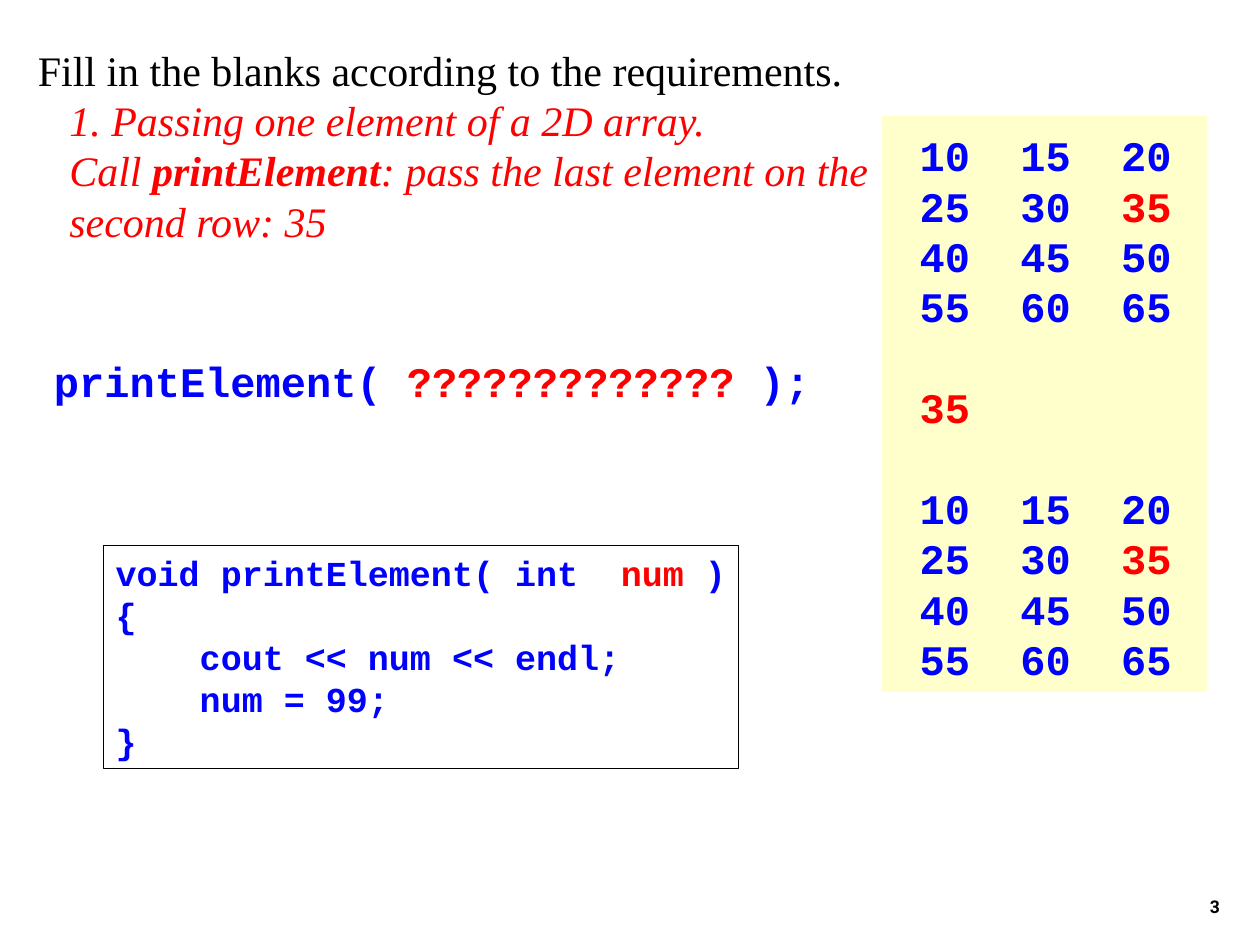
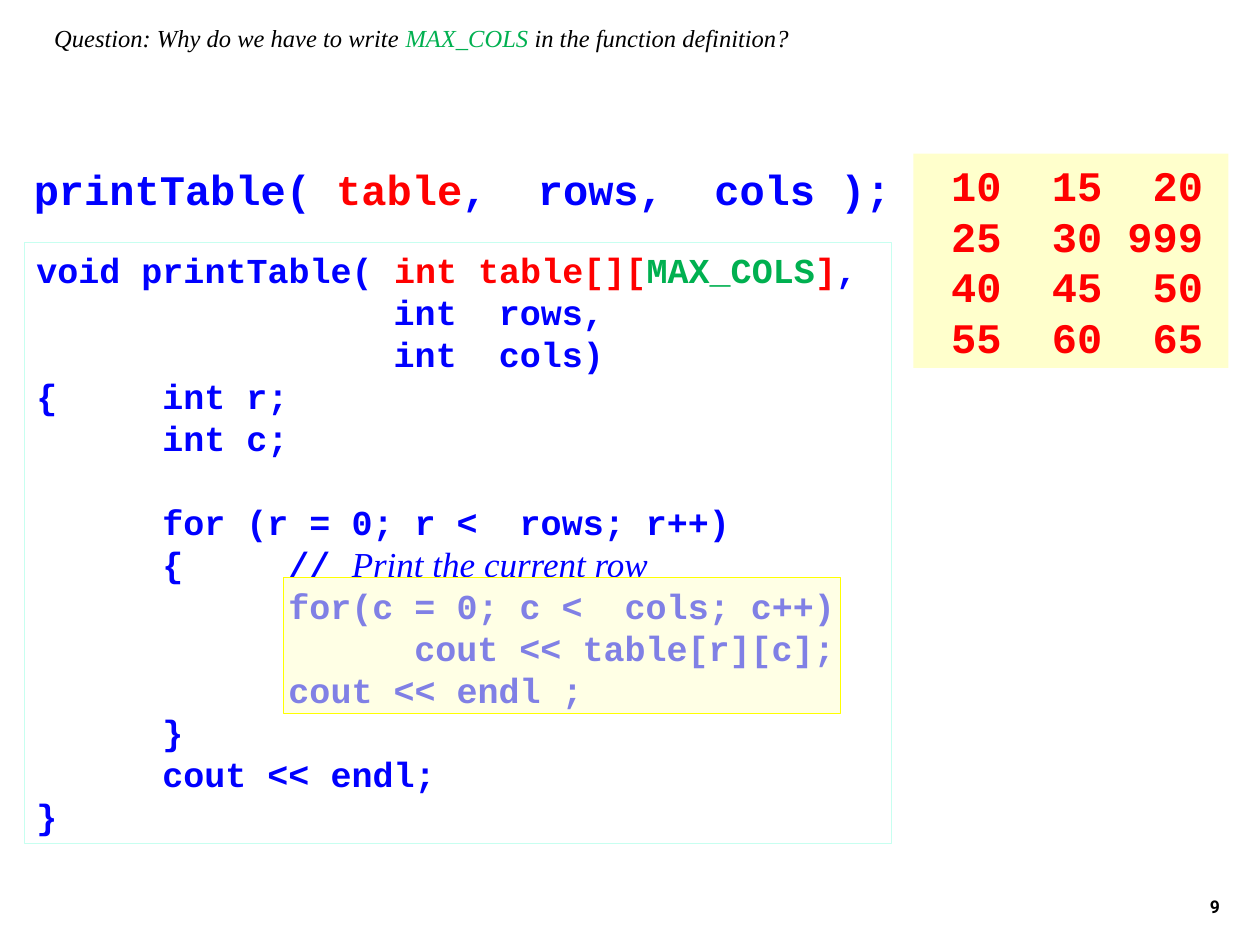
import pptx
import pptx.dml.color
import pptx.enum.shapes
import pptx.enum.text
import pptx.oxml
import pptx.oxml.ns
import pptx.util

Inches = pptx.util.Inches
Pt = pptx.util.Pt
ALIGN = pptx.enum.text.PP_ALIGN

COLOURS = {
    "ink": "000000",
    "code": "0000FF",
    "key": "FF0000",
    "limit": "00B050",
    "output": "FFFFCC",
    "mint": "C7FFF0",
    "yellow": "FFFF00",
}
CODE_FONT = "Courier New"
PROSE_FONT = "Times New Roman"
NUMBER_FONT = "Roboto"
LINE_FACTOR = 1.2
TITLE_ONLY, TITLE_AND_BODY = 5, 1
MATRIX_TABS = [(stop, "r") for stop in (0.6, 1.4, 2.2)]
CODE_TABS = [(stop, "l") for stop in (1, 2, 3)]


def colour(name):
    return pptx.dml.color.RGBColor.from_string(COLOURS[name])


def key(text):
    return text, {"colour": "key"}


def limit(text):
    return text, {"colour": "limit"}


def style_font(font, **style):
    if "colour" in style:
        font.color.rgb = colour(style["colour"])
    if "size" in style:
        font.size = Pt(style["size"])
    for name in ("name", "bold", "italic"):
        if name in style:
            setattr(font, name, style[name])


def add_properties(paragraph, tabs):
    properties = paragraph._p.get_or_add_pPr()
    namespace = pptx.oxml.ns.nsdecls("a")
    if tabs:
        stops = "".join(f'<a:tab pos="{Inches(stop)}" algn="{side}"/>' for stop, side in tabs)
        properties.append(pptx.oxml.parse_xml(f"<a:tabLst {namespace}>{stops}</a:tabLst>"))
    else:
        properties.set("marL", "0")
        properties.set("indent", "0")
        properties.append(pptx.oxml.parse_xml(f"<a:buNone {namespace}/>"))


def write_lines(frame, lines, size, name, ink, bold=False, italic=False,
                tabs=(), gaps=(), align=ALIGN.LEFT, wrap=False):
    frame.word_wrap = wrap
    frame.auto_size = pptx.enum.text.MSO_AUTO_SIZE.NONE
    frame.vertical_anchor = pptx.enum.text.MSO_ANCHOR.TOP
    for index, runs in enumerate(lines):
        paragraph = frame.add_paragraph() if index else frame.paragraphs[0]
        add_properties(paragraph, tabs)
        paragraph.alignment = align
        paragraph.line_spacing = Pt(size * LINE_FACTOR)
        paragraph.space_before = Pt(size * LINE_FACTOR if index in gaps else 0)
        style_font(paragraph.font, size=size, name=name, colour=ink, bold=bold, italic=italic)
        for part in [runs] if isinstance(runs, str) else runs:
            text, style = (part, {}) if isinstance(part, str) else part
            run = paragraph.add_run()
            run.text = text
            style_font(run.font, **style)


def place(shape, left, top, width, height):
    shape.left, shape.top = Inches(left), Inches(top)
    shape.width, shape.height = Inches(width), Inches(height)
    return shape


def add_panel(slide, box, fill=None, line=None):
    panel = slide.shapes.add_shape(
        pptx.enum.shapes.MSO_SHAPE.RECTANGLE, *map(Inches, box))
    panel.shadow.inherit = False
    if fill:
        panel.fill.solid()
        panel.fill.fore_color.rgb = colour(fill)
    else:
        panel.fill.background()
    if line:
        panel.line.color.rgb = colour(line)
        panel.line.width = Pt(0.25)
    else:
        panel.line.fill.background()
    return panel


def add_code(slide, box, lines, line, gaps=()):
    panel = add_panel(slide, box, line=line)
    write_lines(panel.text_frame, lines, 20, CODE_FONT, "code", bold=True,
                tabs=CODE_TABS, gaps=gaps)


def add_output(slide, box, rows, ink, gaps=(), top_inset=0.05):
    panel = add_panel(slide, box, fill="output")
    panel.text_frame.margin_top = Inches(top_inset)
    write_lines(panel.text_frame, rows, 24, CODE_FONT, ink, bold=True,
                tabs=MATRIX_TABS, gaps=gaps)


def add_call(slide, box, runs):
    call = slide.shapes.add_textbox(*map(Inches, box))
    write_lines(call.text_frame, [runs], 24, CODE_FONT, "code", bold=True)


def add_number(slide, number):
    page = slide.shapes.add_textbox(*map(Inches, (7.7, 6.83, 2.08, 0.5)))
    write_lines(page.text_frame, [str(number)], 10, NUMBER_FONT, "ink",
                bold=True, align=ALIGN.RIGHT, wrap=True)
    page.text_frame.vertical_anchor = pptx.enum.text.MSO_ANCHOR.BOTTOM


def add_slide(deck, layout, number, title_box, title, size, italic=False):
    slide = deck.slides.add_slide(deck.slide_layouts[layout])
    heading = place(slide.shapes.title, *title_box)
    write_lines(heading.text_frame, [title], size, PROSE_FONT, "ink", italic=italic)
    add_number(slide, number)
    return slide


def build_element_slide(deck):
    slide = add_slide(deck, TITLE_AND_BODY, 3, (0.2, 0.3, 6.87, 0.5),
                      "Fill in the blanks according to the requirements.", 24)
    task = place(slide.placeholders[1], 0.45, 0.7, 6.55, 1.3)
    write_lines(task.text_frame, [
        "1. Passing one element of a 2D array.",
        ["Call ", ("printElement", {"bold": True}), ": pass the last element on the"],
        "second row: 35",
    ], 24, PROSE_FONT, "key", italic=True)

    matrix = ["\t10\t15\t20", ["\t25\t30\t", key("35")], "\t40\t45\t50", "\t55\t60\t65"]
    add_output(slide, (7, 0.92, 2.58, 4.57), matrix + [[key("\t35")]] + matrix,
               "code", gaps=(4, 5), top_inset=0.11)
    add_call(slide, (0.33, 2.77, 6.25, 0.5),
             ["printElement( ", key("?????????????"), " );"])
    add_code(slide, (0.82, 4.33, 5.04, 1.77), [
        ["void printElement( int  ", key("num "), ")"],
        "{",
        "    cout << num << endl;",
        "    num = 99;",
        "}",
    ], "ink")


def build_table_slide(deck):
    slide = add_slide(deck, TITLE_ONLY, 9, (0.33, 0.13, 9.25, 0.5), [
        "Question: Why do we have to write ", limit("MAX_COLS "),
        "in the function definition?"], 14, italic=True)
    add_call(slide, (0.17, 1.25, 7, 0.5),
             ["printTable( ", key("table"), ",  rows,  cols );"])
    add_output(slide, (7.25, 1.22, 2.5, 1.7), [
        "\t10\t15\t20", "\t25\t30\t999", "\t40\t45\t50", "\t55\t60\t65"], "key")
    comment = {"name": PROSE_FONT, "bold": False, "italic": True}
    add_code(slide, (0.19, 1.92, 6.88, 4.77), [
        ["void printTable( ", key("int table[]["), limit("MAX_COLS"), key("]"), ","],
        "                 int  rows,",
        "                 int  cols)",
        "{\tint r;",
        "\tint c;",
        "\tfor (r = 0; r <  rows; r++)",
        ["\t{     // ", ("Print the current row", comment)],
        "\t\tfor(c = 0; c <  cols; c++)",
        "\t\t\tcout << table[r][c];",
        "\t      cout << endl ;",
        "\t}",
        "\tcout << endl;",
        "}",
    ], "mint", gaps=(5,))

    inner_loop = add_panel(slide, (2.25, 4.58, 4.42, 1.08), fill="output", line="yellow")
    tint = inner_loop._element.spPr.find(
        f"{pptx.oxml.ns.qn('a:solidFill')}/{pptx.oxml.ns.qn('a:srgbClr')}")
    tint.append(pptx.oxml.parse_xml(
        f'<a:alpha {pptx.oxml.ns.nsdecls("a")} val="50000"/>'))


def main():
    deck = pptx.Presentation()
    deck.slide_width, deck.slide_height = Inches(10), Inches(7.5)
    build_element_slide(deck)
    build_table_slide(deck)
    deck.save("out.pptx")


if __name__ == "__main__":
    main()
